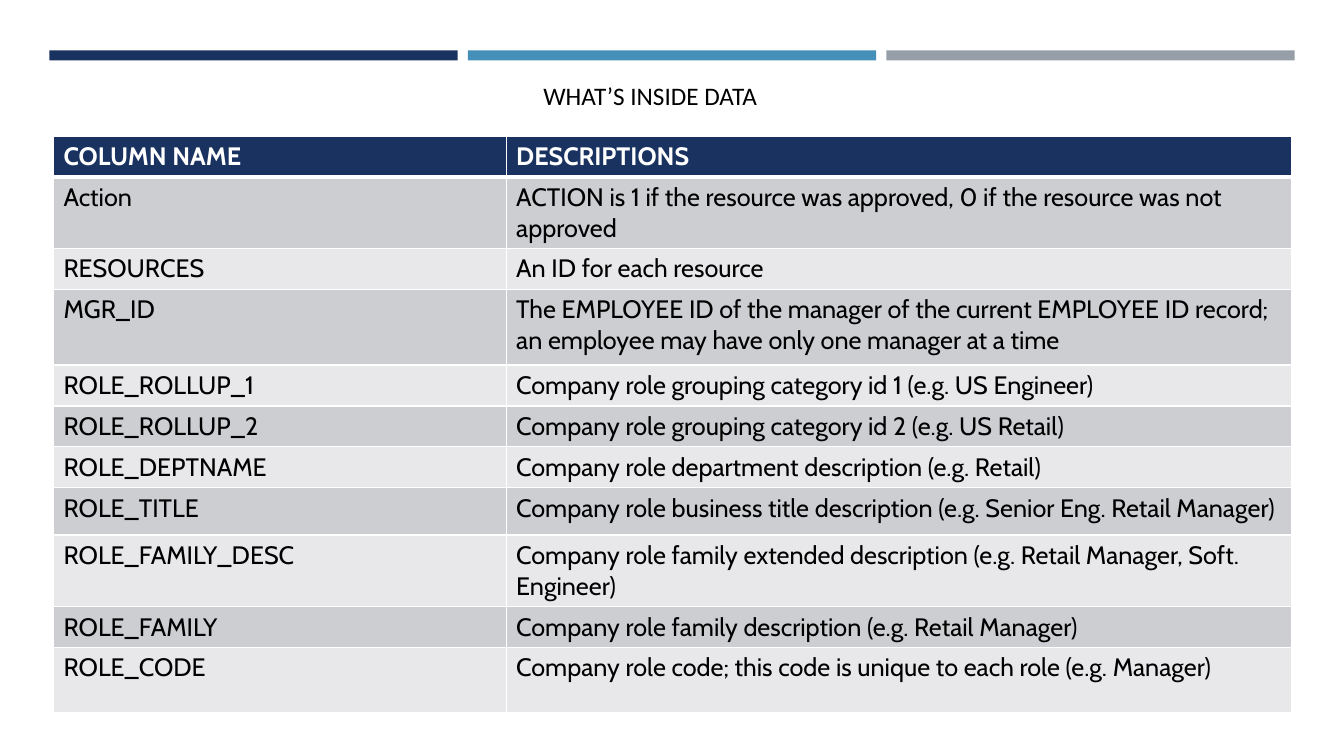
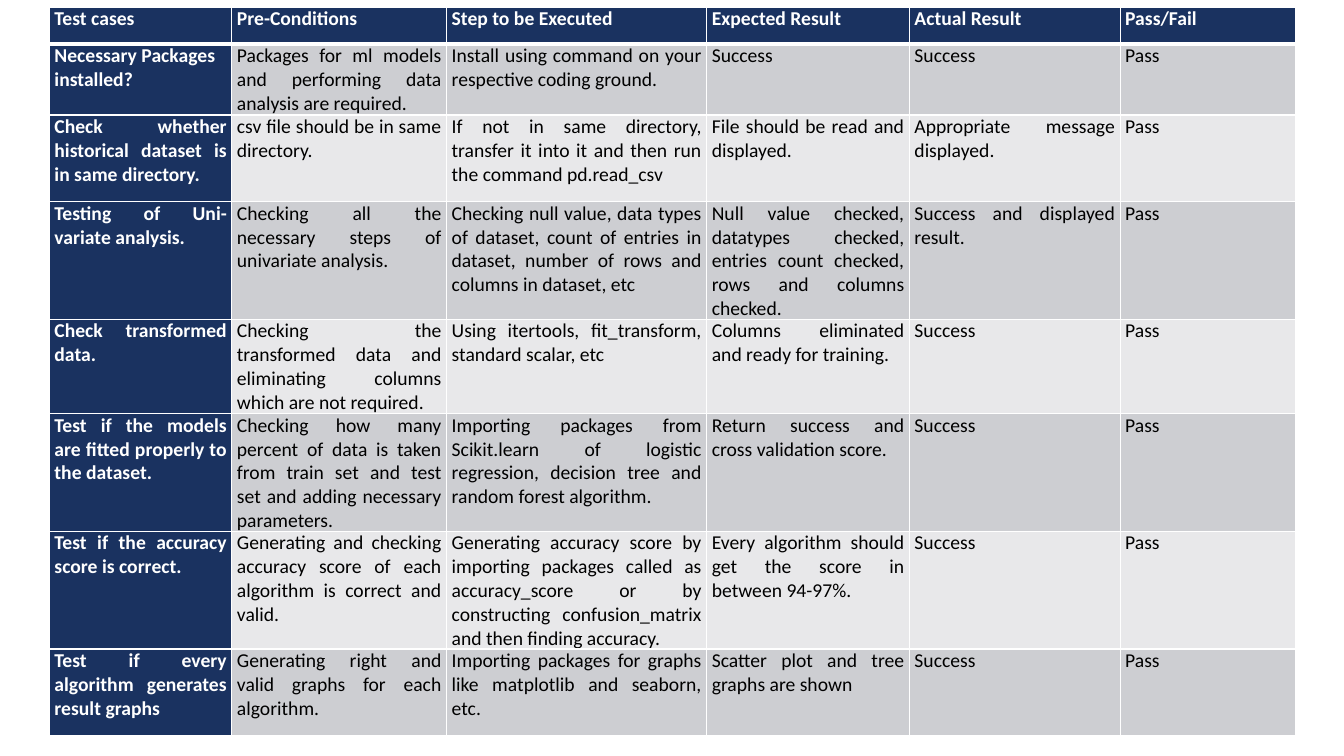
from lxml import etree
from pptx import Presentation
from pptx import util as u
from pptx.dml.color import RGBColor
from pptx.enum import shapes, text
from pptx.oxml import ns

# Shared scale, colours and table text formats
EMU_PER_PX = 9144  # 100 px to the inch
COLOURS = {
    "navy": "1A3260",
    "blue": "4590B8",
    "grey": "969FA7",
    "dark_band": "CDCED2",
    "light_band": "E8E8EA",
    "white": "FFFFFF",
    "black": "000000",
}
JUSTIFY = text.PP_ALIGN.JUSTIFY

COLUMN_ROWS = [
    ("COLUMN NAME", "DESCRIPTIONS"),
    ("Action", "ACTION is 1 if the resource was approved, 0 if the resource was not approved"),
    ("RESOURCES", "An ID for each resource"),
    ("MGR_ID", "The EMPLOYEE ID of the manager of the current EMPLOYEE ID record; "
               "an employee may have only one manager at a time"),
    ("ROLE_ROLLUP_1", "Company role grouping category id 1 (e.g. US Engineer)"),
    ("ROLE_ROLLUP_2", "Company role grouping category id 2 (e.g. US Retail)"),
    ("ROLE_DEPTNAME", "Company role department description (e.g. Retail)"),
    ("ROLE_TITLE", "Company role business title description (e.g. Senior Eng. Retail Manager)"),
    ("ROLE_FAMILY_DESC", "Company role family extended description "
                         "(e.g. Retail Manager, Soft. Engineer)"),
    ("ROLE_FAMILY", "Company role family description (e.g. Retail Manager)"),
    ("ROLE_CODE", "Company role code; this code is unique to each role (e.g. Manager)"),
]

TEST_ROWS = [
    ("Test cases", "Pre-Conditions", "Step to be Executed",
     "Expected Result", "Actual Result", "Pass/Fail"),
    ("Necessary Packages installed?",
     "Packages for ml models and performing data analysis are required.",
     "Install using command on your respective coding ground.",
     "Success", "Success", "Pass"),
    ("Check whether historical dataset is in same directory.",
     "csv file should be in same directory.",
     "If not in same directory, transfer it into it and then run the command pd.read_csv",
     "File should be read and displayed.", "Appropriate message displayed.", "Pass"),
    ("Testing of Uni-variate analysis.",
     "Checking all the necessary steps of univariate analysis.",
     "Checking null value, data types of dataset, count of entries in dataset, "
     "number of rows and columns in dataset, etc",
     "Null value checked, datatypes checked, entries count checked, "
     "rows and columns checked.",
     "Success and displayed result.", "Pass"),
    ("Check transformed data.",
     "Checking the transformed data and eliminating columns which are not required.",
     "Using itertools, fit_transform, standard scalar, etc",
     "Columns eliminated and ready for training.", "Success", "Pass"),
    ("Test if the models are fitted properly to the dataset.",
     "Checking how many percent of data is taken from train set and test set "
     "and adding necessary parameters.",
     "Importing packages from Scikit.learn of logistic regression, "
     "decision tree and random forest algorithm.",
     "Return success and cross validation score.", "Success", "Pass"),
    ("Test if the accuracy score is correct.",
     "Generating and checking accuracy score of each algorithm is correct and valid.",
     "Generating accuracy score by importing packages called as accuracy_score "
     "or by constructing confusion_matrix and then finding accuracy.",
     "Every algorithm should get the score in between 94-97%.", "Success", "Pass"),
    ("Test if every algorithm generates result graphs",
     "Generating right and valid graphs for each algorithm.",
     "Importing packages for graphs like matplotlib and seaborn, etc.",
     "Scatter plot and tree graphs are shown", "Success", "Pass"),
]


def px(length):
    return u.Emu(length * EMU_PER_PX)


def colour(name):
    return RGBColor.from_string(COLOURS[name])


def write_text(frame, content, *, font="Calibri", size=18, ink="black",
               bold=False, align=None):
    paragraph = frame.paragraphs[0]
    paragraph.alignment = align
    run = paragraph.add_run()
    run.text = content
    run.font.name = font
    run.font.size = u.Pt(size)
    run.font.bold = bold
    run.font.color.rgb = colour(ink)


def add_bands(slide):
    """Three equal bands across the top of a slide."""
    for index, name in enumerate(("navy", "blue", "grey")):
        band = slide.shapes.add_shape(shapes.MSO_SHAPE.RECTANGLE,
                                      px(49 + index * 415), px(50), px(405), px(10))
        band.shadow.inherit = False
        band.fill.solid()
        band.fill.fore_color.rgb = colour(name)
        band.line.fill.background()


def add_title(slide, content):
    box = slide.shapes.add_textbox(px(529), px(75), px(275), px(40))
    box.text_frame.word_wrap = True
    write_text(box.text_frame, content)


def set_borders(cell, top, bottom):
    """White cell borders, widths in points."""
    properties = cell._tc.get_or_add_tcPr()
    for side, width in (("L", 1), ("R", 1), ("T", top), ("B", bottom)):
        line = etree.SubElement(properties, ns.qn(f"a:ln{side}"), w=str(u.Pt(width)))
        fill = etree.SubElement(line, ns.qn("a:solidFill"))
        etree.SubElement(fill, ns.qn("a:srgbClr"), val=COLOURS["white"])


def add_banded_table(slide, rows, left, top, widths, heights, *, font, size,
                     insets=(10, 5), header_column=False, align=None):
    """Table with a navy header row, and optionally a navy first column."""
    table = slide.shapes.add_table(len(rows), len(widths), px(left), px(top),
                                   px(sum(widths)), px(sum(heights))).table
    table.horz_banding = False
    for column, width in zip(table.columns, widths):
        column.width = px(width)
    for row_index, (values, height) in enumerate(zip(rows, heights)):
        table.rows[row_index].height = px(height)
        band = "dark_band" if row_index % 2 else "light_band"
        for column_index, value in enumerate(values):
            cell = table.cell(row_index, column_index)
            is_header = row_index == 0 or (header_column and column_index == 0)
            # The first test case keeps the header row's left alignment
            is_left = row_index == 0 or (row_index == 1 and is_header)
            set_borders(cell, top=3 if row_index == 1 else 1,
                        bottom=3 if row_index == 0 else 1)
            cell.fill.solid()
            cell.fill.fore_color.rgb = colour("navy" if is_header else band)
            cell.margin_left = cell.margin_right = px(insets[0])
            cell.margin_top = cell.margin_bottom = px(insets[1])
            write_text(cell.text_frame, value, font=font, size=size, bold=is_header,
                       ink="white" if is_header else "black",
                       align=None if is_left else align)


def add_slide(presentation):
    slide = presentation.slides.add_slide(presentation.slide_layouts[6])
    add_bands(slide)
    return slide


def main():
    presentation = Presentation()
    presentation.slide_width, presentation.slide_height = px(1333), px(750)

    # Data columns
    slide = add_slide(presentation)
    add_banded_table(slide, COLUMN_ROWS, 53, 135, (449, 779),
                     (37, 65, 37, 75, 37, 37, 37, 47, 65, 37, 65),
                     font="Cabin", size=18)
    add_title(slide, "WHAT’S INSIDE DATA")

    # Test cases
    slide = add_slide(presentation)
    add_banded_table(slide, TEST_ROWS, 49, 7, (181, 213, 258, 201, 209, 174),
                     (37, 69, 86, 111, 86, 107, 107, 86),
                     font="Calibri", size=14, insets=(5, 0),
                     header_column=True, align=JUSTIFY)

    presentation.save("out.pptx")


if __name__ == "__main__":
    main()
